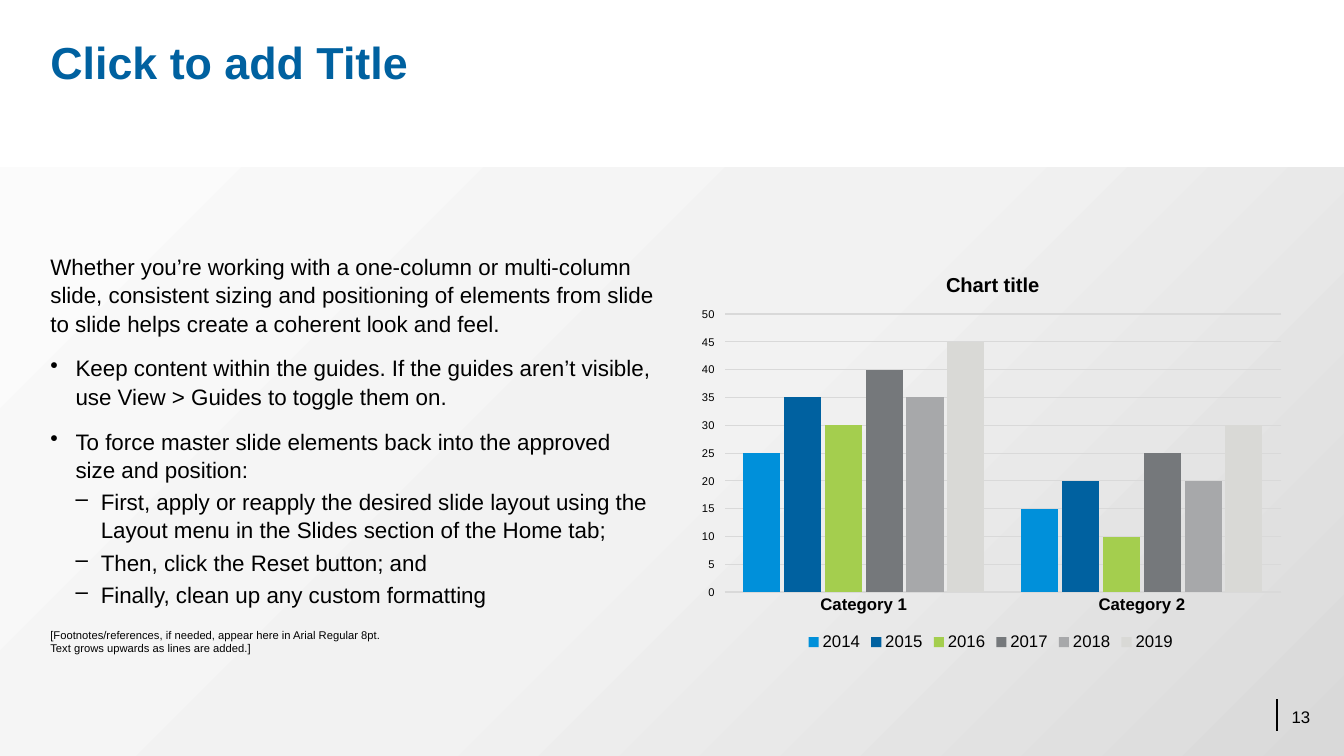
from dataclasses import dataclass

from pptx import Presentation
from pptx.chart.data import CategoryChartData
from pptx.dml.color import RGBColor
from pptx.enum.chart import XL_CHART_TYPE, XL_LEGEND_POSITION, XL_TICK_MARK
from pptx.enum.shapes import MSO_CONNECTOR, MSO_SHAPE
from pptx.enum.text import MSO_ANCHOR, PP_ALIGN
from pptx.oxml import parse_xml
from pptx.oxml.ns import nsdecls, qn
from pptx.util import Cm, Pt
from lxml.etree import SubElement


@dataclass(frozen=True)
class Theme:
    font: str = "Arial"
    ink: str = "000000"
    title: str = "0061A0"
    grid: str = "D9D9D9"
    panel: tuple = ((0, "D9D9D9"), (50, "F2F2F2"), (100, "FBFBFB"))
    title_size: float = 32
    body_size: float = 16
    chart_title_size: float = 14.4
    label_size: float = 12
    small_size: float = 8


THEME = Theme()
WIDTH, HEIGHT = 33.87, 19.05
MARGIN = 1.27
CONTENT_TOP, CONTENT_WIDTH, CONTENT_HEIGHT = 6.35, 15.24, 10.16
INDENT = 0.635

# Text, indent level (0 is plain), bullet
BODY = [
    ("Whether you’re working with a one-column or multi-column slide, consistent sizing and "
     "positioning of elements from slide to slide helps create a coherent look and feel.", 0, None),
    ("Keep content within the guides. If the guides aren’t visible, "
     "use View > Guides to toggle them on.", 1, "•"),
    ("To force master slide elements back into the approved size and position:", 1, "•"),
    ("First, apply or reapply the desired slide layout using the Layout menu "
     "in the Slides section of the Home tab;", 2, "–"),
    ("Then, click the Reset button; and", 2, "–"),
    ("Finally, clean up any custom formatting", 2, "–"),
]
FOOTNOTE = [
    ("[Footnotes/references, if needed, appear here in Arial Regular 8pt.", 0, None),
    ("Text grows upwards as lines are added.]", 0, None),
]
CATEGORIES = ["Category 1", "Category 2"]
SERIES = [
    ("2014", (25, 15), "0090DA"),
    ("2015", (35, 20), "0061A0"),
    ("2016", (30, 10), "A4CE4E"),
    ("2017", (40, 25), "75787B"),
    ("2018", (35, 20), "A7A8AA"),
    ("2019", (45, 30), "D9D9D6"),
]


def rgb(value):
    return RGBColor.from_string(value)


def set_font(font, size, color=THEME.ink, bold=False):
    font.name, font.size, font.bold = THEME.font, Pt(size), bold
    font.color.rgb = rgb(color)


def prepare_frame(frame, anchor):
    frame.margin_left = frame.margin_top = frame.margin_right = frame.margin_bottom = 0
    frame.word_wrap = True
    frame.vertical_anchor = anchor


def set_bullet(para, level, bullet):
    properties = para._p.get_or_add_pPr()
    properties.set("marL", str(Cm(INDENT * level)))
    properties.set("indent", str(-Cm(INDENT)))
    SubElement(properties, qn("a:buChar")).set("char", bullet)


def add_text(page, place, items, size, anchor=MSO_ANCHOR.TOP, align=PP_ALIGN.LEFT,
             spacing=1.0, gaps=(0, 0, 0)):
    """Add a text box; gaps holds the space before a paragraph for each level."""
    box = page.shapes.add_textbox(*map(Cm, place))
    frame = box.text_frame
    prepare_frame(frame, anchor)
    for index, (text, level, bullet) in enumerate(items):
        para = frame.add_paragraph() if index else frame.paragraphs[0]
        para.text = text
        para.alignment = align
        para.line_spacing = spacing
        para.space_before = Pt(gaps[level])
        if bullet:
            set_bullet(para, level, bullet)
        set_font(para.font, size)


def add_panel(page, top):
    panel = page.shapes.add_shape(MSO_SHAPE.RECTANGLE, 0, Cm(top), Cm(WIDTH), Cm(HEIGHT - top))
    panel.shadow.inherit = False
    panel.line.fill.background()
    stops = "".join(f'<a:gs pos="{position * 1000}"><a:srgbClr val="{color}"/></a:gs>'
                    for position, color in THEME.panel)
    gradient = parse_xml(
        f'<a:gradFill {nsdecls("a")} rotWithShape="1"><a:gsLst>{stops}</a:gsLst>'
        '<a:path path="circle"><a:fillToRect l="100000" t="100000"/></a:path></a:gradFill>')
    panel._element.spPr.find(qn("a:prstGeom")).addnext(gradient)


def add_rule(page, x, top, bottom):
    rule = page.shapes.add_connector(MSO_CONNECTOR.STRAIGHT, Cm(x), Cm(top), Cm(x), Cm(bottom))
    rule.line.color.rgb = rgb(THEME.ink)
    rule.line.width = Pt(1)
    SubElement(rule._element.spPr, qn("a:effectLst"))


def format_title(page, text):
    title = page.shapes.title
    title.left, title.top = Cm(MARGIN), Cm(1.02)
    title.width, title.height = Cm(WIDTH - 2 * MARGIN), Cm(3.81)
    prepare_frame(title.text_frame, MSO_ANCHOR.TOP)
    para = title.text_frame.paragraphs[0]
    para.text = text
    para.alignment = PP_ALIGN.LEFT
    para.line_spacing = 0.9
    set_font(para.font, THEME.title_size, THEME.title, bold=True)


def layout_xml(target, **positions):
    inner = f'<c:layoutTarget val="{target}"/>' if target else ""
    modes = "".join(f'<c:{axis}Mode val="edge"/>' for axis in "xy")
    values = "".join(f'<c:{key} val="{value}"/>' for key, value in positions.items())
    return parse_xml(f'<c:layout {nsdecls("c")}><c:manualLayout>{inner}{modes}{values}'
                     '</c:manualLayout></c:layout>')


def place_part(element, layout):
    """Give a chart title or plot area a fixed position."""
    for old in element.findall(qn("c:layout")):
        element.remove(old)
    text = element.find(qn("c:tx"))
    if text is None:
        element.insert(0, layout)
    else:
        text.addnext(layout)


def format_axes(chart):
    categories, values = chart.category_axis, chart.value_axis
    categories.major_tick_mark = XL_TICK_MARK.NONE
    set_font(categories.tick_labels.font, THEME.label_size, bold=True)
    categories.format.line.color.rgb = rgb(THEME.grid)
    categories.format.line.width = Pt(1.5)
    values.minimum_scale, values.maximum_scale, values.major_unit = 0, 50, 5
    values.major_tick_mark = XL_TICK_MARK.OUTSIDE
    set_font(values.tick_labels.font, THEME.small_size)
    values.format.line.fill.background()
    values.major_gridlines.format.line.color.rgb = rgb(THEME.grid)
    values.major_gridlines.format.line.width = Pt(0.75)


def add_column_chart(page, place, title):
    data = CategoryChartData()
    data.categories = CATEGORIES
    for name, values, _ in SERIES:
        data.add_series(name, values)
    chart = page.shapes.add_chart(XL_CHART_TYPE.COLUMN_CLUSTERED, *map(Cm, place), data).chart
    set_font(chart.font, THEME.label_size)

    # Title and plot area
    para = chart.chart_title.text_frame.paragraphs[0]
    para.text = title
    set_font(para.font, THEME.chart_title_size, bold=True)
    place_part(chart.chart_title._element, layout_xml(None, x=0.42, y=0.04))
    plot_area = chart._chartSpace.chart.plotArea
    place_part(plot_area, layout_xml("inner", x=0.06, y=0.154, w=0.92, h=0.69))

    # Columns
    plot = chart.plots[0]
    plot.gap_width, plot.overlap, plot.vary_by_categories = 100, -10, False
    for series, (_, _, color) in zip(plot.series, SERIES):
        series.format.fill.solid()
        series.format.fill.fore_color.rgb = rgb(color)

    format_axes(chart)
    chart.has_legend = True
    chart.legend.position = XL_LEGEND_POSITION.BOTTOM
    chart.legend.include_in_layout = False
    set_font(chart.legend.font, THEME.label_size)


def main():
    deck = Presentation()
    deck.slide_width, deck.slide_height = Cm(WIDTH), Cm(HEIGHT)
    page = deck.slides.add_slide(deck.slide_layouts[5])

    # Backdrop and page number
    add_panel(page, 4.22)
    add_rule(page, 32.18, 17.62, 18.42)
    add_text(page, (31.75, 17.68, 1.27, 0.64), [("13", 0, None)], THEME.label_size,
             MSO_ANCHOR.BOTTOM, PP_ALIGN.RIGHT)

    # Content
    format_title(page, "Click to add Title")
    add_text(page, (MARGIN, CONTENT_TOP, CONTENT_WIDTH, CONTENT_HEIGHT), BODY,
             THEME.body_size, spacing=1.05, gaps=(12, 12, 3))
    add_column_chart(page, (17.35, CONTENT_TOP, CONTENT_WIDTH, CONTENT_HEIGHT), "Chart title")
    add_text(page, (MARGIN, 15.29, WIDTH - 2 * MARGIN, 1.22), FOOTNOTE,
             THEME.small_size, MSO_ANCHOR.BOTTOM)
    deck.save("out.pptx")


if __name__ == "__main__":
    main()
